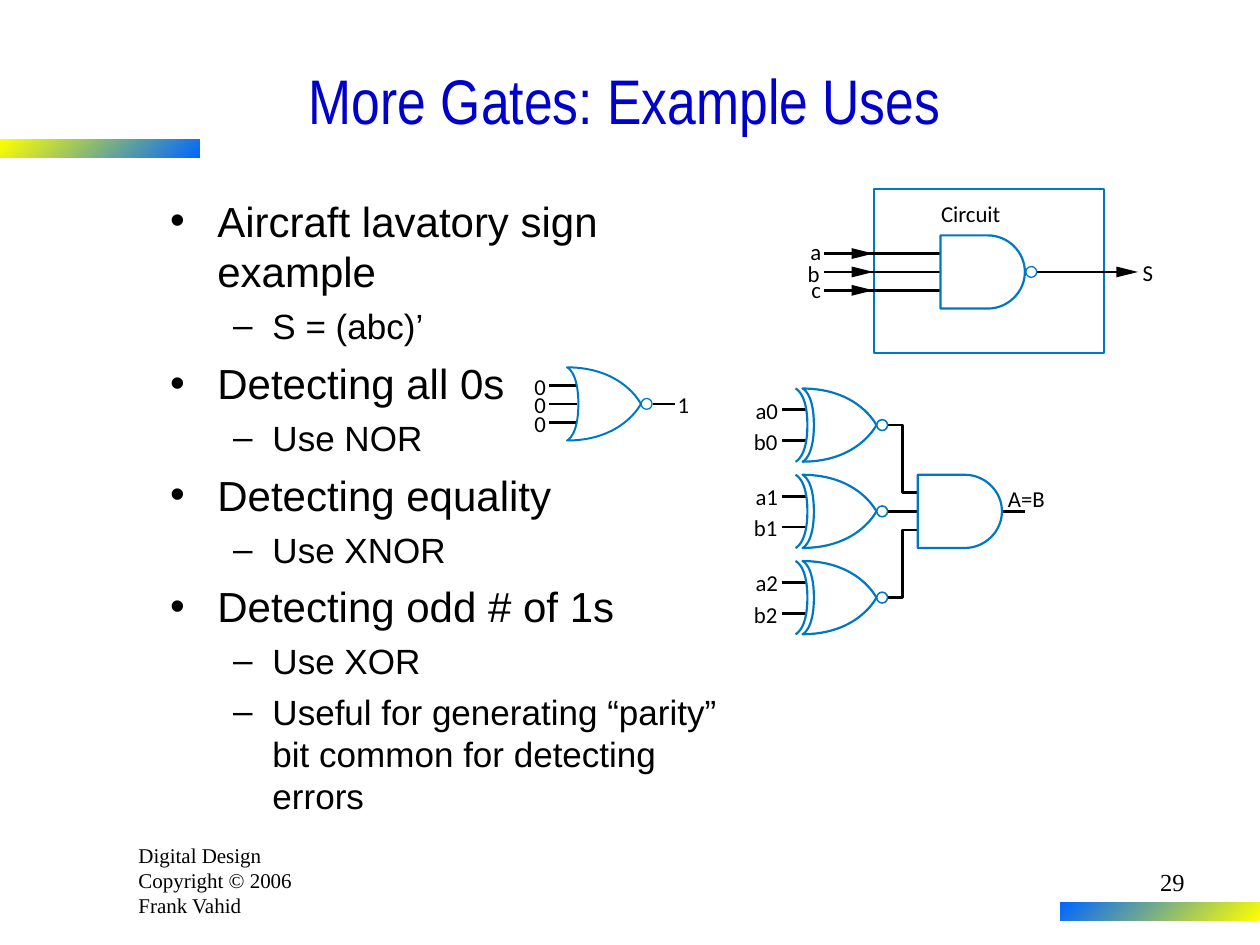
from lxml.etree import SubElement
from pptx import Presentation
from pptx.dml.color import RGBColor
from pptx.enum.shapes import MSO_CONNECTOR as Link, MSO_SHAPE as Preset
from pptx.enum.text import MSO_ANCHOR as Anchor, MSO_AUTO_SIZE as Fit, PP_ALIGN as Align
from pptx.oxml.ns import qn
from pptx.util import Pt

hex_color = RGBColor.from_string
BLACK, WHITE, GATE_BLUE = "000000", "FFFFFF", "0078C1"


def paint(shape, fill=None, line=None, width=0):
    shape.shadow.inherit = False
    if fill:
        shape.fill.solid()
        shape.fill.fore_color.rgb = hex_color(fill)
    else:
        shape.fill.background()
    if line:
        shape.line.color.rgb = hex_color(line)
        shape.line.width = Pt(width)
    else:
        shape.line.fill.background()


def outline(left, top, steps, close=True):
    """Draw steps from (left, top): two numbers are a line, six a cubic curve."""
    places = [(Pt(left + step[i]), Pt(top + step[i + 1]))
              for step in steps for i in range(0, len(step), 2)]
    builder = page.shapes.build_freeform(*places[0])
    builder.add_line_segments(places[1:], close=close)
    shape = builder.convert_to_shape()
    # Join the three points of each curve into one cubic segment
    segments = iter(list(shape._element.iter(qn("a:lnTo"))))
    for step in steps[1:]:
        segment = next(segments)
        if len(step) == 6:
            segment.tag = qn("a:cubicBezTo")
            for extra in (next(segments), next(segments)):
                segment.append(extra[0])
                extra.getparent().remove(extra)
    return shape


deck = Presentation()
deck.slide_width, deck.slide_height = Pt(720), Pt(540)
page = deck.slides.add_slide(deck.slide_layouts[1])

# Gradient bars
for left, top, start, end in [(0, 79.8, "0066FF", "FFFF00"),
                              (605.8, 515.6, "FFFF00", "0066FF")]:
    bar = page.shapes.add_shape(Preset.RECTANGLE, Pt(left), Pt(top), Pt(114.2), Pt(10.4))
    paint(bar)
    bar.fill.gradient()
    bar.fill.gradient_angle = 135
    for stop, color in zip(bar.fill.gradient_stops, (start, end)):
        stop.color.rgb = hex_color(color)

# Title
title = page.shapes.title
title.left, title.top, title.width, title.height = Pt(18), Pt(24), Pt(678), Pt(66)
title.text_frame.text = "More Gates: Example Uses"
title.text_frame.vertical_anchor = Anchor.MIDDLE
title.text_frame.auto_size = Fit.NONE
para = title.text_frame.paragraphs[0]
para.alignment = Align.CENTER
para.font.name, para.font.size = "Arial Narrow", Pt(36)
para.font.color.rgb = hex_color("0000CC")

# Bulleted list
body = page.placeholders[1]
body.left, body.top, body.width, body.height = Pt(90), Pt(108), Pt(342), Pt(384)
body.text_frame.auto_size = Fit.NONE
bullets = [(0, "Aircraft lavatory sign example"), (1, "S = (abc)’"),
           (0, "Detecting all 0s"), (1, "Use NOR"),
           (0, "Detecting equality"), (1, "Use XNOR"),
           (0, "Detecting odd # of 1s"), (1, "Use XOR"),
           (1, "Useful for generating “parity” bit common for detecting errors")]
levels = [(27, -27, "•", 24, 6), (58.5, -22.5, "–", 20, 5)]
for index, (level, text) in enumerate(bullets):
    margin, indent, mark, size, gap = levels[level]
    para = body.text_frame.add_paragraph() if index else body.text_frame.paragraphs[0]
    para.text, para.level = text, level
    props = para._p.get_or_add_pPr()
    props.set("marL", str(Pt(margin)))
    props.set("indent", str(Pt(indent)))
    SubElement(props, qn("a:buChar")).set("char", mark)
    para.space_before = Pt(gap if index else 0)
    para.font.name, para.font.size = "Arial", Pt(size)
    para.font.color.rgb = hex_color(BLACK)

# Positions of the gates
NAND_LEFT, NAND_TOP = 537.5, 134.5
NOR_LEFT, NOR_TOP = 324, 209.9
XNOR_LEFT, XNOR_TOPS = 458.6, [222 + 49.3 * i for i in range(3)]
AND_LEFT, AND_TOP = 524.4, XNOR_TOPS[1]
MIDDLE = 20.9

# Circuit frame
frame = page.shapes.add_shape(Preset.RECTANGLE, Pt(499.6), Pt(108), Pt(131.2), Pt(93.7))
paint(frame, None, GATE_BLUE, 1.25)

# Straight wires: from x, to x, y, width
wires = [(592.5, 641, NAND_TOP + MIDDLE, 1.62),
         (373, 386, NOR_TOP + MIDDLE, 1.5),
         (507, AND_LEFT, AND_TOP + MIDDLE, 1.62),
         (572.4, 585.5, AND_TOP + MIDDLE, 1.62)]
for offset in (-10.5, 0, 10.5):
    wires.append((470.9, NAND_LEFT, NAND_TOP + MIDDLE + offset, 1.62))
    wires.append((314, 330, NOR_TOP + MIDDLE + offset, 1.5))
for top in XNOR_TOPS:
    wires += [(447.1, 460.8, top + offset, 1.62) for offset in (12.2, 29.8)]
for start, end, y, width in wires:
    wire = page.shapes.add_connector(Link.STRAIGHT, Pt(start), Pt(y), Pt(end), Pt(y))
    wire.line.color.rgb = hex_color(BLACK)
    wire.line.width = Pt(width)
    SubElement(wire._element.spPr, qn("a:effectLst"))

# Bent wires from the outer XNOR gates
for top, end in [(XNOR_TOPS[0], -10.7), (XNOR_TOPS[2], 10.7)]:
    start_y, end_y = top + MIDDLE, AND_TOP + MIDDLE + end
    bend = outline(0, 0, [(507, start_y), (515.8, start_y), (515.8, end_y),
                          (AND_LEFT + 0.4, end_y)], close=False)
    paint(bend, None, BLACK, 1.62)

# Arrowheads
for left, offset in [(486.7, -10.5), (486.7, 0), (486.7, 10.5), (637.9, 0)]:
    head = outline(left, NAND_TOP + MIDDLE + offset, [(12.4, 0), (0, -3.1), (0, 3.1)])
    paint(head, BLACK)

# NAND and AND bodies
for left, top in [(NAND_LEFT, NAND_TOP), (AND_LEFT, AND_TOP)]:
    gate = outline(left, top, [(0, 41.8), (27, 41.8),
                               (38.5, 41.8, 48.2, 32.4, 48.2, 20.9),
                               (48.2, 9.4, 38.5, 0, 27, 0), (0, 0)])
    paint(gate, WHITE, GATE_BLUE, 1.25)

# NOR and XNOR bodies
for left, top, width in [(NOR_LEFT, NOR_TOP, 1.13)] + [(XNOR_LEFT, y, 1.25) for y in XNOR_TOPS]:
    gate = outline(left, top, [(42.2, 20.9), (42.2, 20.9, 32, 41.8, 0, 41.8),
                               (0, 41.8, 6.5, 39.4, 6.5, 20.9),
                               (6.5, 2.4, 0, 0, 0, 0),
                               (32, 0, 42.2, 20.9, 42.2, 20.9)])
    paint(gate, WHITE, GATE_BLUE, width)

# Extra input curves of the XNOR gates
for top in XNOR_TOPS:
    curve = outline(XNOR_LEFT - 4, top, [(0, 41.8), (0, 41.8, 6.8, 39.4, 6.8, 20.9),
                                         (6.8, 2.4, 0, 0, 0, 0)], close=False)
    paint(curve, None, GATE_BLUE, 1.25)

# Inverter bubbles
bubbles = [(586.2, NAND_TOP, 0.75), (366.4, NOR_TOP, 0.75)]
bubbles += [(501, top, 0.88) for top in XNOR_TOPS]
for left, top, width in bubbles:
    bubble = page.shapes.add_shape(Preset.OVAL, Pt(left), Pt(top + MIDDLE - 3.1), Pt(6.2), Pt(6.2))
    paint(bubble, WHITE, GATE_BLUE, width)

# Labels: text, left, top, width
labels = [("S", 653, 147.6, 7), ("Circuit", 537.8, 114.2, 39),
          ("a", 463, 136.1, 7), ("b", 461.5, 148.3, 8), ("c", 463.7, 157.7, 6.5),
          ("1", 387.2, 223.2, 7), ("A=B", 576, 276.8, 24.5)]
labels += [("0", 305.3, 212.7 + 10.6 * i, 7) for i in range(3)]
for i, top in enumerate(XNOR_TOPS):
    labels += [(f"a{i}", 431.8, top + 4.5, 14.4), (f"b{i}", 430.8, top + 22.4, 15)]
for text, left, top, width in labels:
    box = page.shapes.add_textbox(Pt(left), Pt(top), Pt(width), Pt(15.8))
    words = box.text_frame
    words.margin_left = words.margin_right = words.margin_top = words.margin_bottom = 0
    words.word_wrap, words.auto_size = False, Fit.SHAPE_TO_FIT_TEXT
    words.text = text
    para = words.paragraphs[0]
    para.font.name, para.font.size = "Calibri", Pt(13)
    para.font.color.rgb = hex_color(BLACK)

# Footer and page number
footers = [("Digital Design\nCopyright © 2006\nFrank Vahid", 72, 477.7, 120, 50.4, 12, Align.LEFT),
           ("29", 534, 492, 150, 36, 14, Align.RIGHT)]
for text, left, top, width, height, size, align in footers:
    box = page.shapes.add_textbox(Pt(left), Pt(top), Pt(width), Pt(height))
    box.text_frame.word_wrap = True
    box.text_frame.text = text
    for para in box.text_frame.paragraphs:
        para.alignment = align
        para.font.name, para.font.size = "Times New Roman", Pt(size)
        para.font.color.rgb = hex_color(BLACK)

deck.save("out.pptx")
